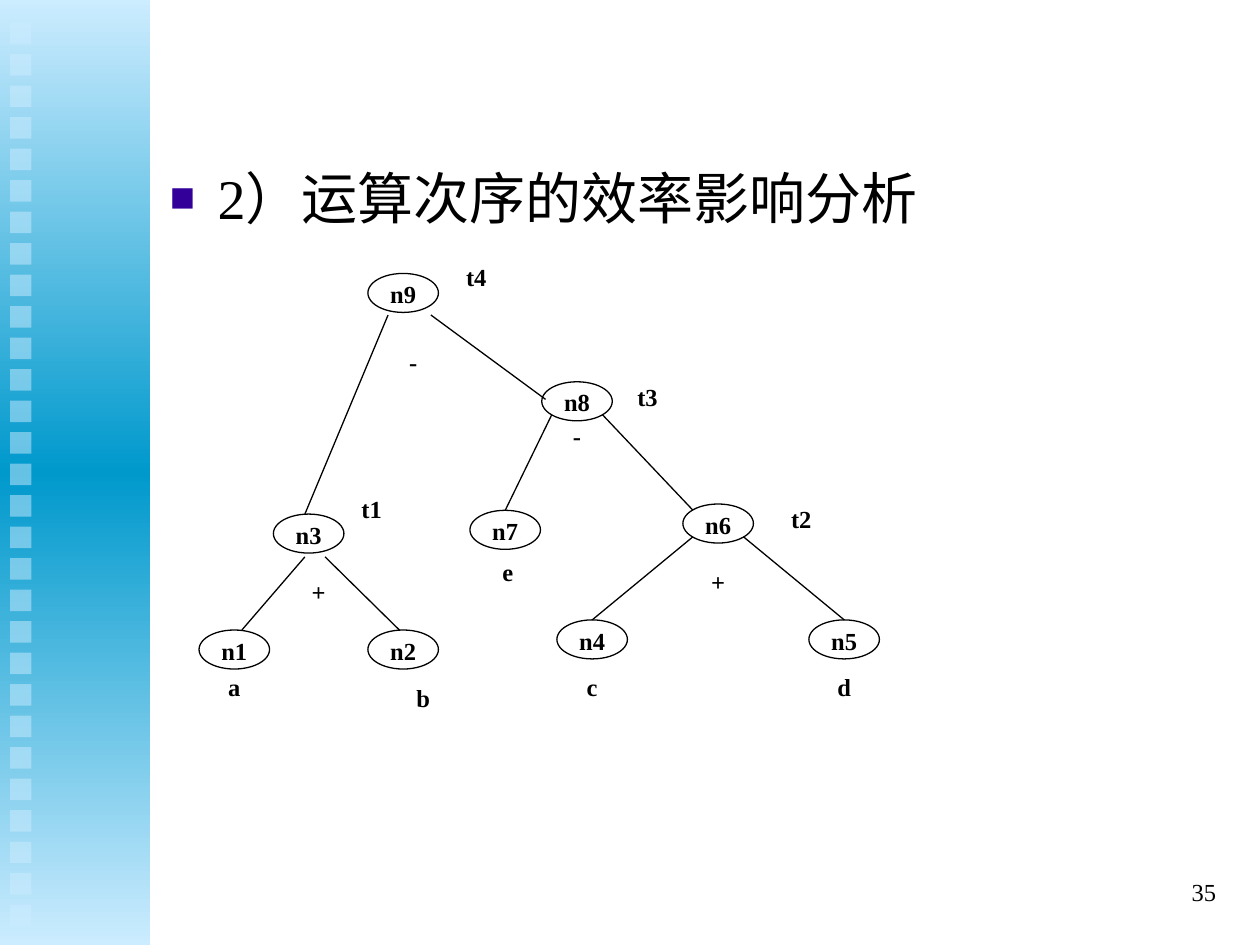
from copy import deepcopy
from dataclasses import dataclass

from lxml.etree import SubElement
from pptx import Presentation
from pptx.dml.color import RGBColor
from pptx.enum.shapes import MSO_CONNECTOR, MSO_SHAPE
from pptx.enum.text import MSO_ANCHOR, PP_ALIGN
from pptx.oxml.ns import qn
from pptx.util import Inches, Pt


@dataclass(frozen=True)
class Theme:
    font: str = "Times New Roman"
    ink: RGBColor = RGBColor(0, 0, 0)
    paper: RGBColor = RGBColor(255, 255, 255)
    pale: RGBColor = RGBColor(0xCC, 0xEC, 0xFF)
    deep: RGBColor = RGBColor(0x00, 0x99, 0xCC)
    bullet: str = "330099"
    heading_size: Pt = Pt(32)
    small_size: Pt = Pt(14)
    line_width: Pt = Pt(0.75)


THEME = Theme()
NODE_SIZE = (0.56, 0.31)
LABEL_SIZE = (0.56, 0.21)

# Tree parts: offsets in inches from the corner of the tree's box
NODES = {
    "n9": (1.42, 0.17), "n8": (2.8, 1.03), "n3": (0.67, 2.08),
    "n7": (2.23, 2.05), "n6": (3.92, 2), "n1": (0.08, 3),
    "n2": (1.42, 3), "n4": (2.92, 2.92), "n5": (4.92, 2.92),
}
EDGES = [
    ((1.58, 0.5), (0.92, 2.08)), ((1.92, 0.5), (2.83, 1.17)),  # n9
    ((2.88, 1.29), (2.51, 2.05)), ((3.28, 1.29), (4, 2.05)),   # n8
    ((0.92, 2.42), (0.42, 3)), ((1.08, 2.42), (1.67, 3)),      # n3
    ((4, 2.26), (3.2, 2.92)), ((4.4, 2.26), (5.2, 2.92)),      # n6
]
LABELS = [
    ("t4", 2, 0.08), ("t3", 3.36, 1.03), ("t1", 1.17, 1.92), ("t2", 4.58, 2),
    ("-", 1.5, 0.75), ("-", 2.8, 1.34), ("+", 0.75, 2.58), ("+", 3.92, 2.5),
    ("a", 0.08, 3.33), ("b", 1.58, 3.42), ("c", 2.92, 3.33),
    ("d", 4.92, 3.33), ("e", 2.25, 2.42),
]


def add_block(slide, kind, left, top, width, height):
    block = slide.shapes.add_shape(
        kind, Inches(left), Inches(top), Inches(width), Inches(height))
    block.shadow.inherit = False
    return block


def add_text_box(slide, left, top, width, height):
    return slide.shapes.add_textbox(
        Inches(left), Inches(top), Inches(width), Inches(height))


def write(holder, text, size, align, anchor=MSO_ANCHOR.TOP, bold=False, inset=True):
    frame = holder.text_frame
    frame.word_wrap = True
    frame.vertical_anchor = anchor
    if not inset:
        frame.margin_left = frame.margin_right = 0
        frame.margin_top = frame.margin_bottom = 0
    paragraph = frame.paragraphs[0]
    paragraph.text = text
    paragraph.alignment = align
    paragraph.font.name = THEME.font
    paragraph.font.size = size
    paragraph.font.bold = bold
    paragraph.font.color.rgb = THEME.ink
    return paragraph


def write_tree_text(holder, text):
    write(holder, text, THEME.small_size, PP_ALIGN.CENTER, bold=True, inset=False)


def draw_side_band(slide, left, top, width, height):
    # Gradient: pale, deep, pale
    band = add_block(slide, MSO_SHAPE.RECTANGLE, left, top, width, height)
    band.line.fill.background()
    band.fill.gradient()
    band.fill.gradient_angle = 90
    stop_list = next(band._element.iter(qn("a:gsLst")))
    stop_list.append(deepcopy(stop_list[-1]))
    colours = (THEME.pale, THEME.deep, THEME.pale)
    for index, (stop, colour) in enumerate(zip(band.fill.gradient_stops, colours)):
        stop.position = index / 2
        stop.color.rgb = colour

    # Column of half-transparent squares
    for row in range(29):
        square = add_block(slide, MSO_SHAPE.RECTANGLE,
                           left + 0.08, top + 0.18 + 0.25 * row, 0.17, 0.17)
        square.line.fill.background()
        square.fill.solid()
        square.fill.fore_color.rgb = THEME.pale
        colour = square._element.spPr.find(qn("a:solidFill"))[0]
        SubElement(colour, qn("a:alpha"), val="50000")


def draw_heading(slide, left, top, width, height):
    heading = add_text_box(slide, left, top, width, height)
    paragraph = write(heading, "2）运算次序的效率影响分析",
                      THEME.heading_size, PP_ALIGN.LEFT)
    paragraph.space_before = Pt(8)
    # Square bullet with a hanging indent
    properties = paragraph._p.get_or_add_pPr()
    properties.set("marL", str(Inches(0.38)))
    properties.set("indent", str(-Inches(0.38)))
    bullet = [
        SubElement(SubElement(properties, qn("a:buClr")), qn("a:srgbClr"),
                   val=THEME.bullet).getparent(),
        SubElement(properties, qn("a:buSzPct"), val="75000"),
        SubElement(properties, qn("a:buFont"), typeface=THEME.font),
        SubElement(properties, qn("a:buChar"), char="■"),
    ]
    # Bullet settings belong ahead of the default run properties
    for part in bullet:
        properties.find(qn("a:defRPr")).addprevious(part)


def draw_tree(slide, left, top):
    for name, (x, y) in NODES.items():
        node = add_block(slide, MSO_SHAPE.OVAL, left + x, top + y, *NODE_SIZE)
        node.fill.solid()
        node.fill.fore_color.rgb = THEME.paper
        node.line.color.rgb = THEME.ink
        node.line.width = THEME.line_width
        write_tree_text(node, name)

    for (x1, y1), (x2, y2) in EDGES:
        edge = slide.shapes.add_connector(
            MSO_CONNECTOR.STRAIGHT, Inches(left + x1), Inches(top + y1),
            Inches(left + x2), Inches(top + y2))
        edge.line.color.rgb = THEME.ink
        edge.line.width = THEME.line_width
        SubElement(edge._element.spPr, qn("a:effectLst"))

    # Operators, temporaries and operands
    for text, x, y in LABELS:
        write_tree_text(add_text_box(slide, left + x, top + y, *LABEL_SIZE), text)


def draw_page_number(slide, left, top, width, height):
    number = add_text_box(slide, left, top, width, height)
    write(number, "35", THEME.small_size, PP_ALIGN.RIGHT, MSO_ANCHOR.MIDDLE)


def main():
    deck = Presentation()
    deck.slide_width, deck.slide_height = Inches(10), Inches(7.5)
    slide = deck.slides.add_slide(deck.slide_layouts[6])
    draw_side_band(slide, 0, 0, 1.19, 7.5)
    draw_heading(slide, 1.25, 1.25, 8.5, 5.42)
    draw_tree(slide, 1.5, 2)
    draw_page_number(slide, 7.67, 6.83, 2.08, 0.5)
    deck.save("out.pptx")


if __name__ == "__main__":
    main()
